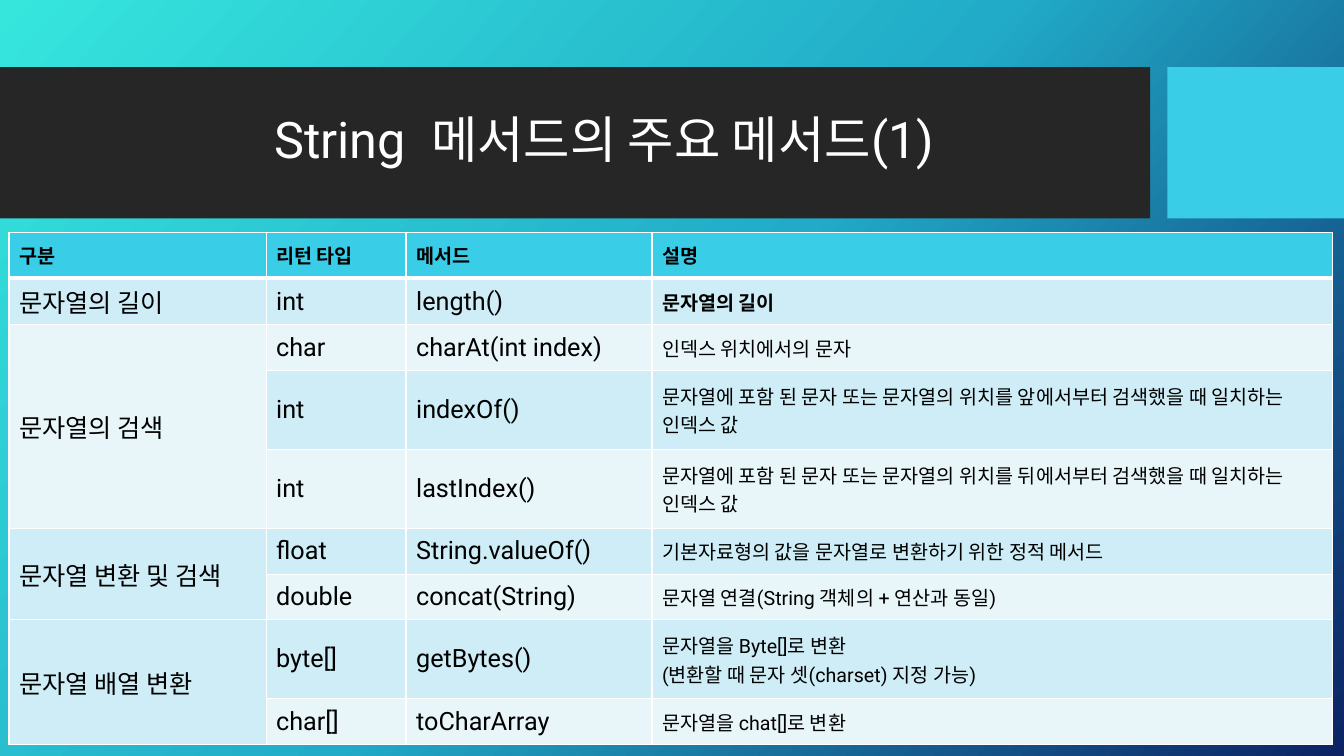
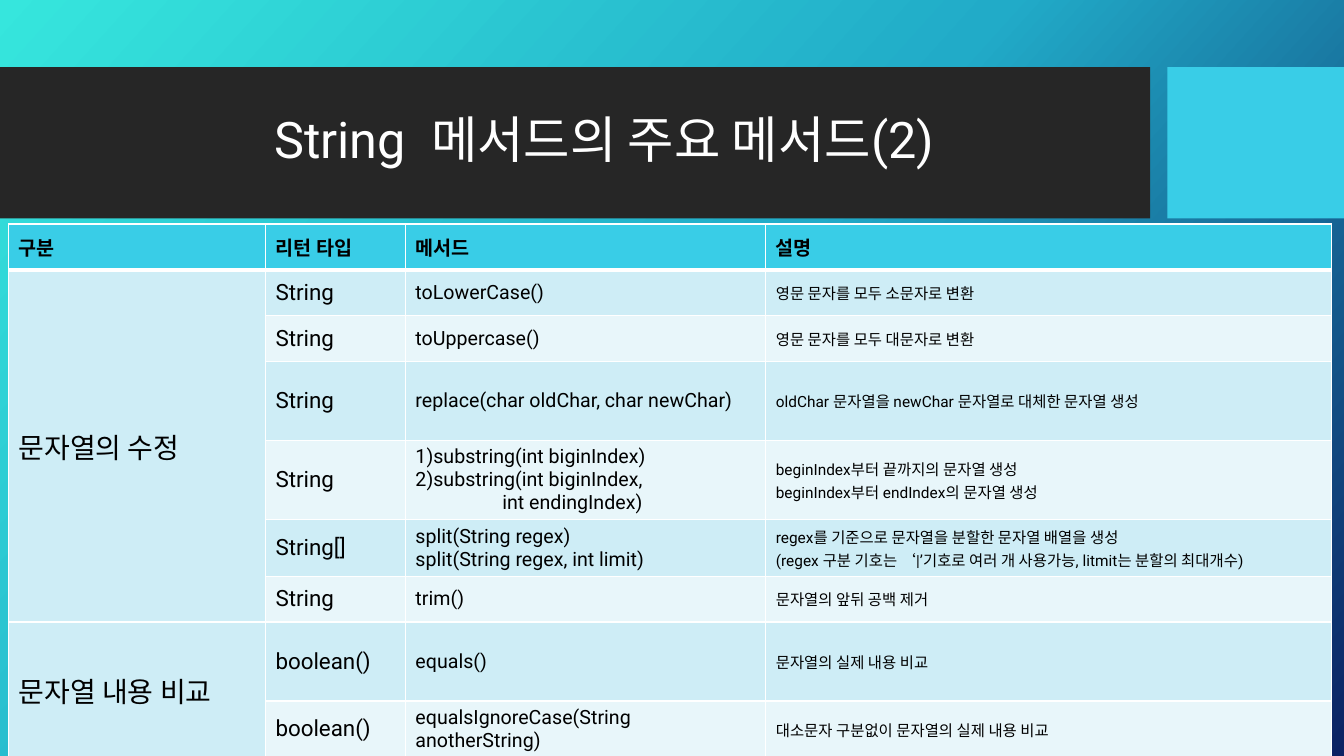
from copy import deepcopy

from lxml import etree
from pptx import Presentation
from pptx.dml.color import RGBColor
from pptx.enum import shapes, text
from pptx.oxml.ns import qn
from pptx.util import Pt

WHITE = RGBColor(0xFF, 0xFF, 0xFF)
BLACK = RGBColor(0x00, 0x00, 0x00)
DARK = RGBColor(0x26, 0x26, 0x26)
CYAN = RGBColor(0x39, 0xCD, 0xE7)
ROW_FILLS = [RGBColor(0xE8, 0xF6, 0xFA), RGBColor(0xCE, 0xED, 0xF6)]
GRADIENT = [(0, RGBColor(0x36, 0xE6, 0xDD)), (0.5, RGBColor(0x21, 0xAB, 0xC8)),
            (1, RGBColor(0x0C, 0x22, 0x63))]
GRADIENT_ANGLE = 42
FONT = "Roboto"

# Shared geometry, in points: left, top, width, height
BANDS = [((0, 48, 821.5, 108), DARK), ((833.8, 48, 126.2, 108), CYAN)]
TITLE_BOX = (53.3, 59, 756.7, 85)
LOW, TALL = 32.7, 56.4
ROW_HEIGHTS = [LOW, LOW, LOW, TALL, TALL, LOW, LOW, TALL, LOW]
INDENT = 62

# Content: a tab at the start of a line marks an indented line
HEADER = ["구분", "리턴 타입", "메서드", "설명"]
SLIDES = [
    {
        "title": "String  메서드의 주요 메서드(1)",
        "origin": (6.5, 166),
        "columns": [183.6, 100, 175.7, 486],
        "sizes": [18, 18, 18, 14],
        "bold": {(1, 3)},
        "groups": [
            ("문자열의 길이", [
                ("int", "length()", "문자열의 길이"),
            ]),
            ("문자열의 검색", [
                ("char", "charAt(int index)", "인덱스 위치에서의 문자"),
                ("int", "indexOf()",
                 "문자열에 포함 된 문자 또는 문자열의 위치를 앞에서부터 검색했을 때 일치하는 인덱스 값"),
                ("int", "lastIndex()",
                 "문자열에 포함 된 문자 또는 문자열의 위치를 뒤에서부터 검색했을 때 일치하는 인덱스 값"),
            ]),
            ("문자열 변환 및 검색", [
                ("float", "String.valueOf()", "기본자료형의 값을 문자열로 변환하기 위한 정적 메서드"),
                ("double", "concat(String)", "문자열 연결(String 객체의 + 연산과 동일)"),
            ]),
            ("문자열 배열 변환", [
                ("byte[]", "getBytes()",
                 "문자열을 Byte[]로 변환\n(변환할 때 문자 셋(charset) 지정 가능)"),
                ("char[]", "toCharArray", "문자열을 chat[]로 변환"),
            ]),
        ],
    },
    {
        "title": "String  메서드의 주요 메서드(2)",
        "origin": (6, 160),
        "columns": [183.6, 100, 257.4, 404],
        "sizes": [20, 16, 14, 11],
        "bold": set(),
        "groups": [
            ("문자열의 수정", [
                ("String", "toLowerCase()", "영문 문자를 모두 소문자로 변환"),
                ("String", "toUppercase()", "영문 문자를 모두 대문자로 변환"),
                ("String", "replace(char oldChar, char newChar)",
                 "oldChar 문자열을 newChar 문자열로 대체한 문자열 생성"),
                ("String",
                 "1)substring(int biginIndex)\n2)substring(int biginIndex,\n\tint endingIndex)",
                 "beginIndex부터 끝까지의 문자열 생성\nbeginIndex부터 endIndex의 문자열 생성"),
                ("String[]", "split(String regex)\nsplit(String regex, int limit)",
                 "regex를 기준으로 문자열을 분할한 문자열 배열을 생성\n"
                 "(regex 구분 기호는 ‘|’기호로 여러 개 사용가능, litmit는 분할의 최대개수)"),
                ("String", "trim()", "문자열의 앞뒤 공백 제거"),
            ]),
            ("문자열 내용 비교", [
                ("boolean()", "equals()", "문자열의 실제 내용 비교"),
                ("boolean()", "equalsIgnoreCase(String anotherString)",
                 "대소문자 구분없이 문자열의 실제 내용 비교"),
            ]),
        ],
    },
]


def points(values):
    return [Pt(v) for v in values]


def format_run(r, color, **style):
    for name, value in {"name": FONT, **style}.items():
        setattr(r.font, name, value)
    r.font.color.rgb = color


def set_background(master):
    fill = master.background.fill
    fill.gradient()
    fill.gradient_angle = 360 - GRADIENT_ANGLE
    stop_list = master.element.find(".//" + qn("a:gsLst"))
    stop_list.append(deepcopy(stop_list[0]))
    for stop, (position, color) in zip(fill.gradient_stops, GRADIENT):
        stop.position = position
        stop.color.rgb = color


def move_bands_to_layout(slide, layout):
    for box, color in BANDS:
        sp = slide.shapes.add_shape(shapes.MSO_SHAPE.RECTANGLE, *points(box))
        sp.shadow.inherit = False
        sp.fill.solid()
        sp.fill.fore_color.rgb = color
        sp.line.fill.background()
        layout.shapes.element.insert(2, sp.element)


def set_title(slide, title):
    sp = slide.shapes.title
    sp.left, sp.top, sp.width, sp.height = points(TITLE_BOX)
    tf = sp.text_frame
    tf.vertical_anchor = text.MSO_ANCHOR.MIDDLE
    p = tf.paragraphs[0]
    p.alignment = text.PP_ALIGN.CENTER
    p.line_spacing = 0.9
    r = p.add_run()
    r.text = title
    format_run(r, WHITE, size=Pt(36))


def set_borders(cell, row):
    widths = {"L": 1, "R": 1, "T": 1, "B": 1}
    if row == 0:
        widths["B"] = 3
    elif row == 1:
        widths["T"] = 3
    tc_pr = cell._tc.get_or_add_tcPr()
    for i, (side, width) in enumerate(widths.items()):
        ln = etree.Element(qn("a:ln" + side), w=str(Pt(width)))
        fill = etree.SubElement(ln, qn("a:solidFill"))
        etree.SubElement(fill, qn("a:srgbClr"), val=str(WHITE))
        tc_pr.insert(i, ln)


def write_cell(cell, content, size, bold):
    tf = cell.text_frame
    for i, line in enumerate(content.split("\n")):
        p = tf.add_paragraph() if i else tf.paragraphs[0]
        if line.startswith("\t"):
            p._p.get_or_add_pPr().set("marL", str(Pt(INDENT)))
        r = p.add_run()
        r.text = line.strip()
        format_run(r, BLACK, size=Pt(size), bold=bold)


def add_method_table(slide, data):
    columns = data["columns"]
    box = (*data["origin"], sum(columns), sum(ROW_HEIGHTS))
    table = slide.shapes.add_table(len(ROW_HEIGHTS), len(columns), *points(box)).table
    for column, width in zip(table.columns, columns):
        column.width = Pt(width)
    for row, height in zip(table.rows, ROW_HEIGHTS):
        row.height = Pt(height)

    # Flatten the groups into rows and join their category cells
    rows = [HEADER]
    for category, methods in data["groups"]:
        first = len(rows)
        rows += [(category if i == 0 else None, *m) for i, m in enumerate(methods)]
        if len(methods) > 1:
            table.cell(first, 0).merge(table.cell(len(rows) - 1, 0))

    for i, row in enumerate(rows):
        for j, content in enumerate(row):
            cell = table.cell(i, j)
            cell.vertical_anchor = text.MSO_ANCHOR.MIDDLE
            cell.fill.solid()
            cell.fill.fore_color.rgb = ROW_FILLS[i % 2] if i else CYAN
            set_borders(cell, i)
            if content:
                size = data["sizes"][j] if i else 14
                write_cell(cell, content, size, i == 0 or (i, j) in data["bold"])


def main():
    prs = Presentation()
    prs.slide_width, prs.slide_height = Pt(960), Pt(540)
    set_background(prs.slide_master)
    layout = prs.slide_layouts[5]
    for i, data in enumerate(SLIDES):
        slide = prs.slides.add_slide(layout)
        if i == 0:
            move_bands_to_layout(slide, layout)
        set_title(slide, data["title"])
        add_method_table(slide, data)
    prs.save("out.pptx")


if __name__ == "__main__":
    main()
